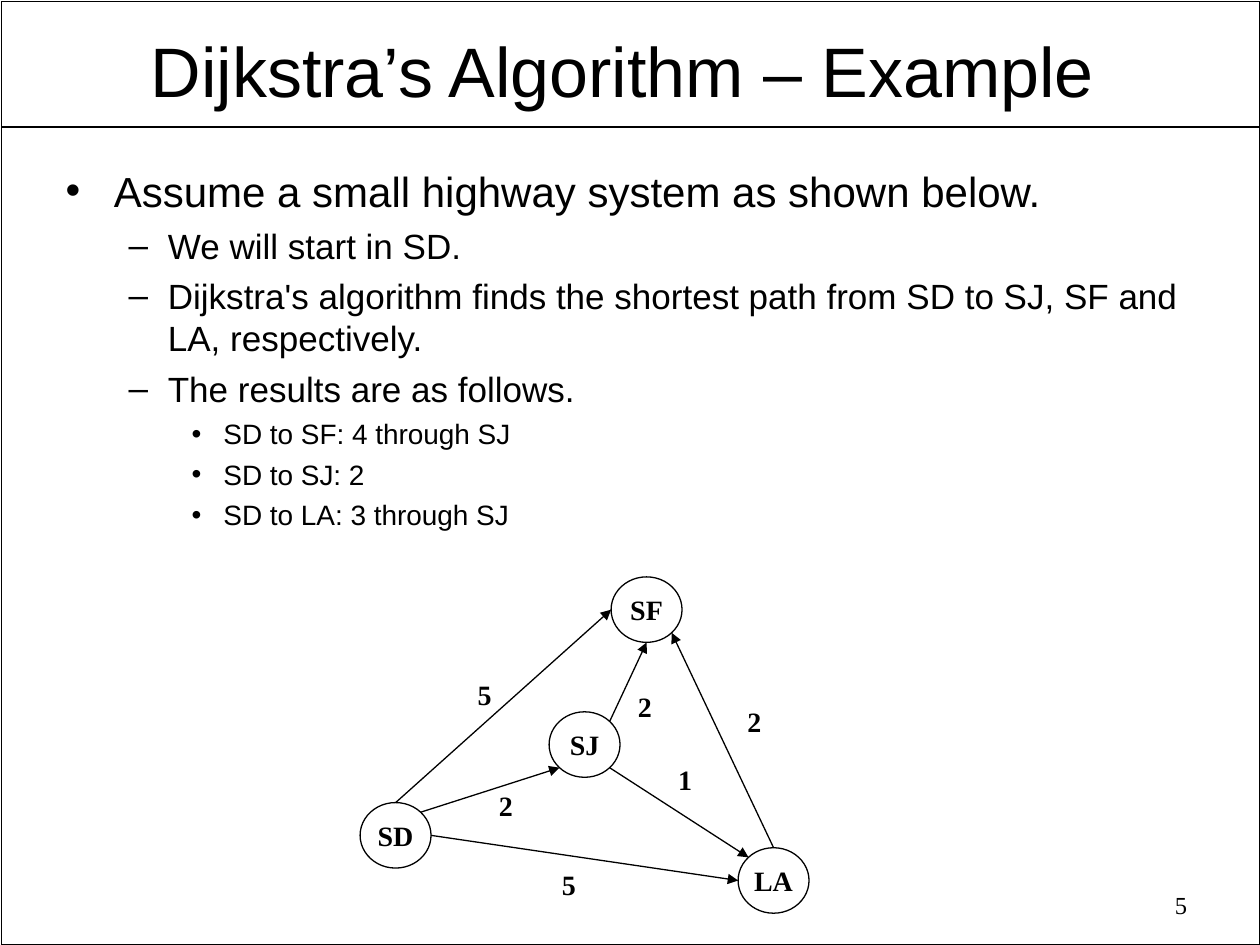
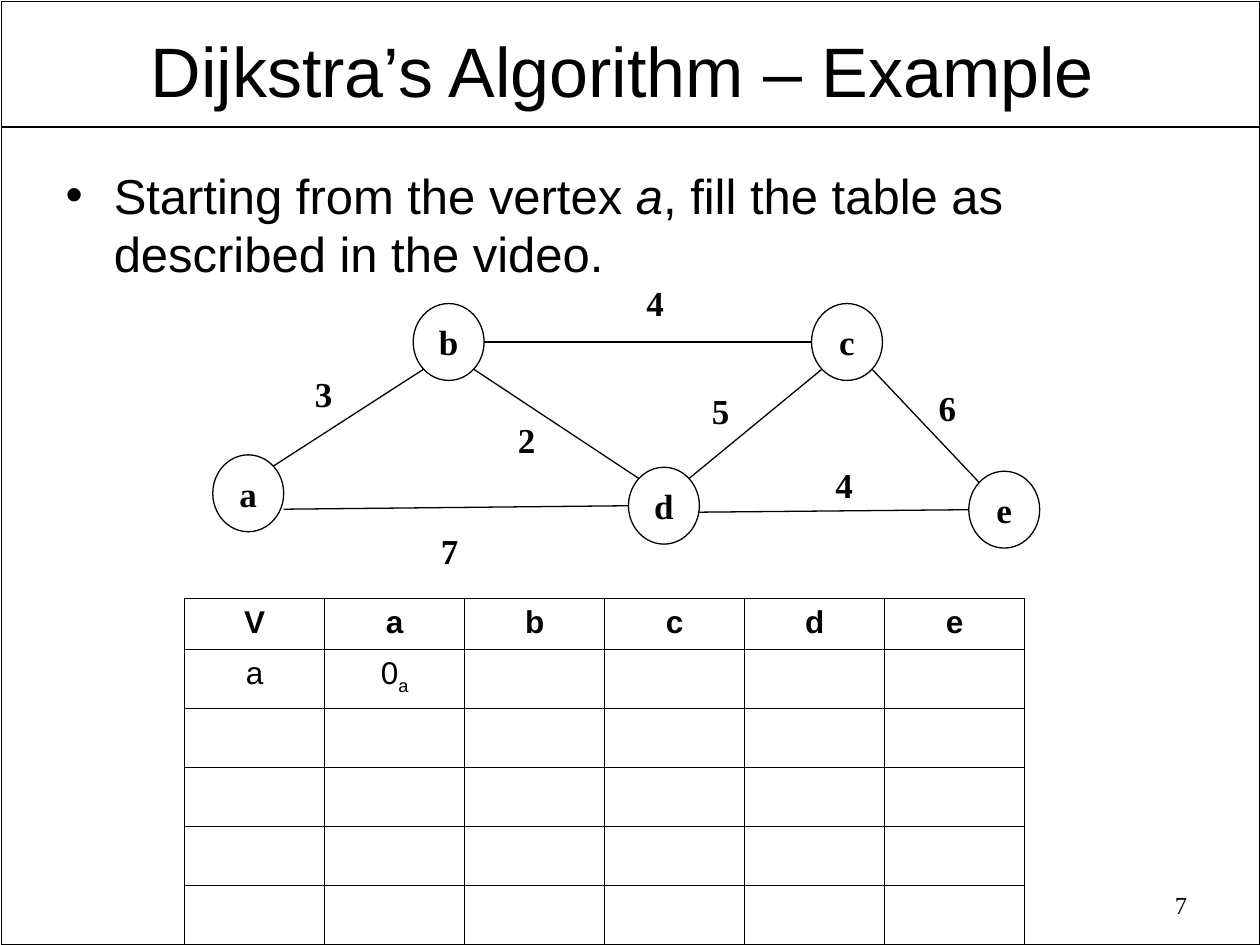
from dataclasses import dataclass
import math

import pptx
import pptx.dml.color
import pptx.enum.shapes
import pptx.enum.text
import pptx.oxml
import pptx.oxml.ns
import pptx.presentation
import pptx.shapes.connector
import pptx.slide
import pptx.table
import pptx.text.text
import pptx.util

Cm = pptx.util.Cm
Pt = pptx.util.Pt
ALIGN = pptx.enum.text.PP_ALIGN
ANCHOR = pptx.enum.text.MSO_ANCHOR
SHAPES = pptx.enum.shapes.MSO_SHAPE

INK = "000000"
SANS = "Arial"
SERIF = "Times New Roman"
TITLE = "Dijkstra’s Algorithm – Example "

# Unit vectors from a node's centre to the points where edges meet it
DIAGONAL = math.sqrt(0.5)
SITES = {
    "n": (0, -1), "e": (1, 0), "s": (0, 1), "w": (-1, 0),
    "ne": (DIAGONAL, -DIAGONAL), "se": (DIAGONAL, DIAGONAL),
    "sw": (-DIAGONAL, DIAGONAL), "nw": (-DIAGONAL, -DIAGONAL),
}


@dataclass(frozen=True)
class BulletLevel:
    mark: str
    margin: float
    hanging: float


@dataclass(frozen=True)
class Item:
    level: int
    size: int
    spans: tuple[tuple[str, bool], ...]  # text, italic


@dataclass(frozen=True)
class Node:
    name: str
    left: float
    top: float


@dataclass(frozen=True)
class Edge:
    start: str
    start_site: str
    end: str
    end_site: str
    weight: str
    weight_left: float
    weight_top: float
    start_drop: float = 0


@dataclass(frozen=True)
class Graph:
    nodes: tuple[Node, ...]
    edges: tuple[Edge, ...]
    node_width: float
    node_height: float
    text_size: int
    directed: bool

    def site(self, name: str, side: str) -> tuple[float, float]:
        node = next(node for node in self.nodes if node.name == name)
        across, down = SITES[side]
        return (node.left + self.node_width / 2 * (1 + across),
                node.top + self.node_height / 2 * (1 + down))


LEVELS = (
    BulletLevel("•", 0.97, 0.97),
    BulletLevel("–", 2.06, 0.79),
    BulletLevel("•", 3.18, 0.64),
)

HIGHWAY_ITEMS = (
    Item(0, 24, (("Assume a small highway system as shown below.", False),)),
    Item(1, 20, (("We will start in SD.", False),)),
    Item(1, 20, (("Dijkstra's algorithm finds the shortest path from SD to SJ, "
                  "SF and LA, respectively.", False),)),
    Item(1, 20, (("The results are as follows.", False),)),
    Item(2, 16, (("SD to SF: 4 through SJ", False),)),
    Item(2, 16, (("SD to SJ: 2", False),)),
    Item(2, 16, (("SD to LA: 3 through SJ", False),)),
)

EXERCISE_ITEMS = (
    Item(0, 28, (("Starting from the vertex ", False), ("a", True),
                 (", fill the table as described in the video.", False))),
)

HIGHWAYS = Graph(
    nodes=(
        Node("SJ", 11.07, 14.35),
        Node("SF", 12.32, 11.63),
        Node("SD", 7.26, 16.18),
        Node("LA", 14.88, 17.09),
    ),
    edges=(
        Edge("SD", "ne", "SJ", "sw", "2", 9.8, 15.77),
        Edge("SJ", "ne", "SF", "s", "2", 12.6, 13.77),
        Edge("SJ", "se", "LA", "nw", "1", 13.41, 15.24),
        Edge("SD", "e", "LA", "w", "5", 11.07, 17.37),
        Edge("SD", "n", "SF", "w", "5", 9.37, 13.54),
        Edge("LA", "n", "SF", "se", "2", 14.81, 14.07),
    ),
    node_width=1.43, node_height=1.32, text_size=16, directed=True,
)

EXERCISE = Graph(
    nodes=(
        Node("a", 4.29, 9.17),
        Node("b", 8.33, 6.12),
        Node("c", 16.36, 6.12),
        Node("d", 12.67, 9.42),
        Node("e", 19.53, 9.5),
    ),
    edges=(
        Edge("a", "e", "d", "w", "7", 8.64, 10.54, start_drop=0.32),
        Edge("d", "e", "e", "w", "4", 16.59, 9.22, start_drop=0.13),
        Edge("a", "ne", "b", "sw", "3", 6.1, 7.39),
        Edge("d", "ne", "c", "sw", "5", 14.1, 7.72),
        Edge("b", "se", "d", "nw", "2", 10.19, 8.31),
        Edge("c", "se", "e", "nw", "6", 18.67, 7.67),
        Edge("b", "e", "c", "w", "4", 12.78, 5.56),
    ),
    node_width=1.43, node_height=1.55, text_size=20, directed=False,
)


def colour(code: str) -> pptx.dml.color.RGBColor:
    return pptx.dml.color.RGBColor.from_string(code)


def add_span(para: pptx.text.text._Paragraph, text: str, size: int,
             face: str = SANS, bold: bool = False,
             italic: bool = False) -> pptx.text.text._Run:
    span = para.add_run()
    span.text = text
    font = span.font
    font.name, font.size = face, Pt(size)
    font.bold, font.italic = bold, italic
    font.color.rgb = colour(INK)
    return span


def set_insets(frame: pptx.text.text.TextFrame, side: float, end: float) -> None:
    frame.margin_left = frame.margin_right = Cm(side)
    frame.margin_top = frame.margin_bottom = Cm(end)


def place(shape, left: float, top: float, width: float, height: float) -> None:
    shape.left, shape.top = Cm(left), Cm(top)
    shape.width, shape.height = Cm(width), Cm(height)


def add_outline(page: pptx.slide.Slide, kind: SHAPES, left: float, top: float,
                width: float, height: float, weight: float):
    """Draw an unfilled preset shape."""
    shape = page.shapes.add_shape(kind, Cm(left), Cm(top), Cm(width), Cm(height))
    shape.shadow.inherit = False
    shape.fill.background()
    shape.line.color.rgb = colour(INK)
    shape.line.width = Pt(weight)
    return shape


def add_line(page: pptx.slide.Slide, start: tuple[float, float],
             end: tuple[float, float], weight: float, arrow: bool = False) -> None:
    line = page.shapes.add_connector(
        pptx.enum.shapes.MSO_CONNECTOR.STRAIGHT,
        *(Cm(value) for value in start + end))
    line.line.color.rgb = colour(INK)
    line.line.width = Pt(weight)
    if arrow:
        head = pptx.oxml.parse_xml(
            f'<a:tailEnd {pptx.oxml.ns.nsdecls("a")} type="triangle"/>')
        line.line._get_or_add_ln().append(head)
    line.element.spPr.append(
        pptx.oxml.parse_xml(f'<a:effectLst {pptx.oxml.ns.nsdecls("a")}/>'))


def add_label(page: pptx.slide.Slide, text: str, left: float, top: float,
              width: float, height: float, size: int, bold: bool,
              align: ALIGN) -> None:
    box = page.shapes.add_textbox(Cm(left), Cm(top), Cm(width), Cm(height))
    box.text_frame.word_wrap = not bold
    para = box.text_frame.paragraphs[0]
    para.alignment = align
    add_span(para, text, size, SERIF, bold)


def add_page(deck: pptx.presentation.Presentation, number: int,
             items: tuple[Item, ...], body_height: float) -> pptx.slide.Slide:
    """Add a slide with the shared frame, title and number, and its list."""
    page = deck.slides.add_slide(deck.slide_layouts[1])
    add_outline(page, SHAPES.RECTANGLE, 0.03, 0.03, 25.37, 19.02, 1)
    add_line(page, (0.03, 2.56), (25.37, 2.56), 1)

    title = page.shapes.title
    place(title, 1.35, 0.48, 22.78, 1.83)
    set_insets(title.text_frame, 0.18, 0.08)
    title.text_frame.auto_size = pptx.enum.text.MSO_AUTO_SIZE.NONE
    title.text_frame.vertical_anchor = ANCHOR.MIDDLE
    para = title.text_frame.paragraphs[0]
    para.alignment = ALIGN.CENTER
    add_span(para, TITLE, 40)

    add_label(page, str(number), 18.24, 17.81, 5.94, 0.91, 14, False, ALIGN.RIGHT)

    body = page.placeholders[1]
    place(body, 1.07, 3.2, 23.29, body_height)
    body.text_frame.auto_size = pptx.enum.text.MSO_AUTO_SIZE.NONE
    for index, item in enumerate(items):
        frame = body.text_frame
        para = frame.add_paragraph() if index else frame.paragraphs[0]
        add_item(para, item)
    return page


def add_item(para: pptx.text.text._Paragraph, item: Item) -> None:
    level = LEVELS[item.level]
    para.level = item.level
    para.space_before = Pt(item.size / 4)
    properties = para._p.get_or_add_pPr()
    properties.set("marL", str(Cm(level.margin)))
    properties.set("indent", str(-Cm(level.hanging)))
    properties.append(pptx.oxml.parse_xml(
        f'<a:buChar {pptx.oxml.ns.nsdecls("a")} char="{level.mark}"/>'))
    for text, italic in item.spans:
        add_span(para, text, item.size, italic=italic)


def draw_graph(page: pptx.slide.Slide, graph: Graph) -> None:
    for node in graph.nodes:
        circle = add_outline(page, SHAPES.OVAL, node.left, node.top,
                             graph.node_width, graph.node_height, 0.75)
        frame = circle.text_frame
        set_insets(frame, 0, 0)
        frame.word_wrap = False
        frame.vertical_anchor = ANCHOR.MIDDLE
        para = frame.paragraphs[0]
        para.alignment = ALIGN.CENTER
        add_span(para, node.name, graph.text_size, SERIF, bold=True)
    for edge in graph.edges:
        left, top = graph.site(edge.start, edge.start_site)
        add_line(page, (left, top + edge.start_drop),
                 graph.site(edge.end, edge.end_site), 0.75, graph.directed)
        add_label(page, edge.weight, edge.weight_left, edge.weight_top,
                  0.8, graph.text_size * 0.06, graph.text_size, True, ALIGN.CENTER)


def style_cell(cell: pptx.table._Cell) -> None:
    """Clear the fill and rule all four sides."""
    cell.fill.background()
    properties = cell._tc.get_or_add_tcPr()
    for index, side in enumerate("LRTB"):
        properties.insert(index, pptx.oxml.parse_xml(
            f'<a:ln{side} {pptx.oxml.ns.nsdecls("a")} w="{Pt(0.45)}"><a:solidFill>'
            f'<a:srgbClr val="{INK}"/></a:solidFill></a:ln{side}>'))


def draw_distance_table(page: pptx.slide.Slide, vertices: str, width: float) -> None:
    count = len(vertices) + 1
    grid = page.shapes.add_table(
        count, count, Cm(3.72), Cm(12.06), Cm(width), Cm(6.98)).table
    grid.first_row = grid.horz_banding = False
    for column in grid.columns:
        column.width = Cm(width / count)
    for index, row in enumerate(grid.rows):
        row.height = Cm(1.19 if index else 1.03)
    for cell in grid.iter_cells():
        style_cell(cell)
        cell.text_frame.paragraphs[0].alignment = ALIGN.CENTER
    for index, heading in enumerate("V" + vertices):
        add_span(grid.cell(0, index).text_frame.paragraphs[0], heading, 18, bold=True)
    source = vertices[0]
    add_span(grid.cell(1, 0).text_frame.paragraphs[0], source, 18)
    distance = grid.cell(1, 1).text_frame.paragraphs[0]
    add_span(distance, "0", 18)
    subscript = add_span(distance, source, 18)
    subscript._r.get_or_add_rPr().set("baseline", "-25000")


def main() -> None:
    deck = pptx.Presentation()
    deck.slide_width, deck.slide_height = Cm(25.4), Cm(19.05)

    highway_page = add_page(deck, 5, HIGHWAY_ITEMS, 7.82)
    draw_graph(highway_page, HIGHWAYS)

    exercise_page = add_page(deck, 7, EXERCISE_ITEMS, 2.74)
    draw_graph(exercise_page, EXERCISE)
    draw_distance_table(exercise_page, "abcde", 16.94)

    deck.save("out.pptx")


if __name__ == "__main__":
    main()
